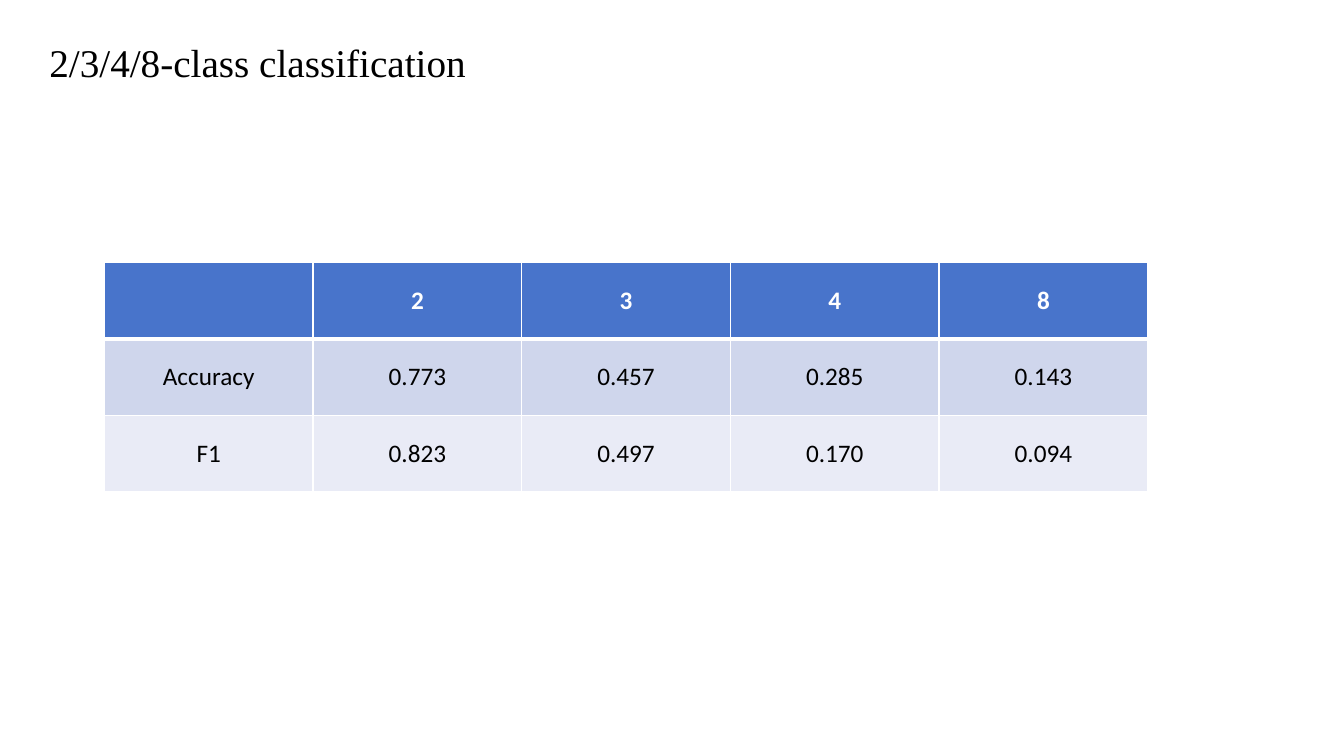
from dataclasses import dataclass

from lxml.etree import SubElement as Sub
from pptx import Presentation
from pptx.dml.color import RGBColor as Rgb
from pptx.enum.text import MSO_ANCHOR as Anchor, MSO_AUTO_SIZE as Fit, PP_ALIGN as Align
from pptx.oxml.ns import qn
from pptx.util import Inches, Pt


@dataclass(frozen=True)
class Theme:
    white: str = "FFFFFF"
    ink: str = "000000"
    head: str = "4874CB"
    bands: tuple = ("CFD6EC", "E9EBF6")
    serif: str = "Times New Roman"
    sans: str = "Calibri"
    title: int = 28
    body: int = 18
    thin: int = 1
    thick: int = 3


THEME = Theme()
WIDE, HIGH = 13.33, 7.5
COL, ROW = 2.07, 0.76
SCORES = [
    ["", "2", "3", "4", "8"],
    ["Accuracy", "0.773", "0.457", "0.285", "0.143"],
    ["F1", "0.823", "0.497", "0.170", "0.094"],
]


def put(item, values):
    for name, value in values.items():
        setattr(item, name, value)


def write(para, text, color, **form):
    if text:
        run = para.add_run()
        run.text = text
        put(run.font, form)
        run.font.color.rgb = Rgb.from_string(color)


def add_title(slide, text):
    title = slide.shapes.title
    put(title, {"left": Inches(0.39), "top": Inches(0.33),
                "width": Inches(WIDE / 2), "height": Inches(0.57)})
    frame = title.text_frame
    put(frame, {"word_wrap": True, "auto_size": Fit.SHAPE_TO_FIT_TEXT,
                "vertical_anchor": Anchor.TOP})
    para = frame.paragraphs[0]
    para.alignment = Align.LEFT
    write(para, text, THEME.ink, name=THEME.serif, size=Pt(THEME.title))


def edge(cell, row):
    """Draw white cell borders, with a heavier rule under the header."""
    props = cell._tc.get_or_add_tcPr()
    heavy = {(0, "B"), (1, "T")}
    for side in "LRTB":
        width = THEME.thick if (row, side) in heavy else THEME.thin
        line = Sub(props, qn(f"a:ln{side}"), w=str(Pt(width)))
        fill = Sub(line, qn("a:solidFill"))
        Sub(fill, qn("a:srgbClr"), val=THEME.white)


def style(cell, text, row):
    edge(cell, row)
    head = row == 0
    cell.fill.solid()
    shade = THEME.head if head else THEME.bands[(row - 1) % 2]
    cell.fill.fore_color.rgb = Rgb.from_string(shade)
    cell.vertical_anchor = Anchor.MIDDLE
    para = cell.text_frame.paragraphs[0]
    para.alignment = Align.CENTER
    write(para, text, THEME.white if head else THEME.ink,
          name=THEME.sans, size=Pt(THEME.body), bold=head)


def add_grid(slide, data, left, top):
    rows, cols = len(data), len(data[0])
    table = slide.shapes.add_table(
        rows, cols, Inches(left), Inches(top),
        Inches(COL * cols), Inches(ROW * rows)).table
    for r, line in enumerate(data):
        for c, text in enumerate(line):
            style(table.cell(r, c), text, r)


def main():
    deck = Presentation()
    put(deck, {"slide_width": Inches(WIDE), "slide_height": Inches(HIGH)})
    slide = deck.slides.add_slide(deck.slide_layouts.get_by_name("Title Only"))
    add_title(slide, "2/3/4/8-class classification")
    add_grid(slide, SCORES, COL / 2, 2.6)
    deck.save("out.pptx")


if __name__ == "__main__":
    main()
